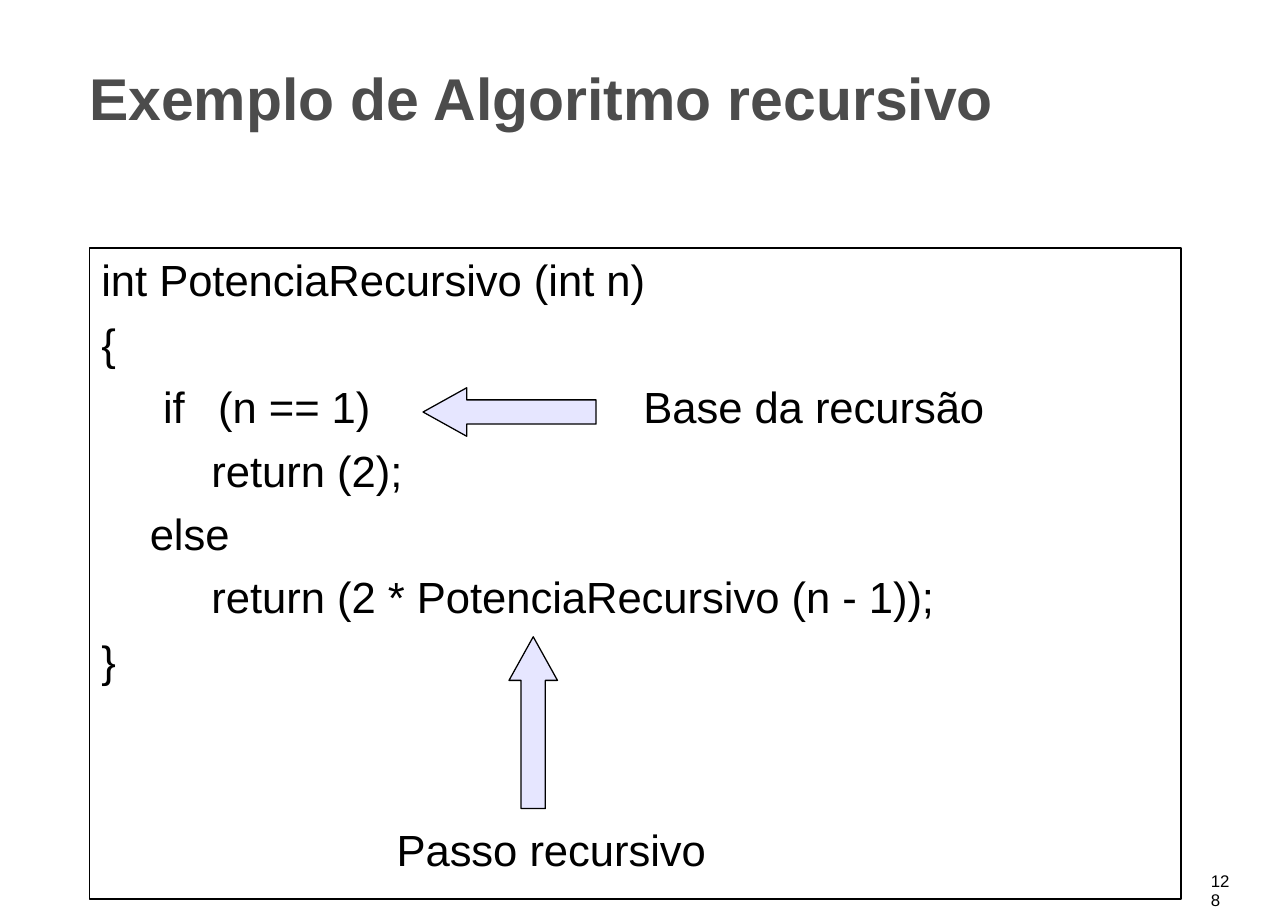
from dataclasses import dataclass

from lxml import etree
from pptx import Presentation
from pptx.dml.color import RGBColor
from pptx.enum.shapes import MSO_SHAPE
from pptx.enum.text import MSO_ANCHOR, MSO_AUTO_SIZE, PP_ALIGN
from pptx.oxml.ns import qn
from pptx.util import Inches, Pt

LEFT_ARROW, UP_ARROW = MSO_SHAPE.LEFT_ARROW, MSO_SHAPE.UP_ARROW
RECTANGLE = MSO_SHAPE.RECTANGLE
TOP, LEFT, NO_FIT = MSO_ANCHOR.TOP, PP_ALIGN.LEFT, MSO_AUTO_SIZE.NONE
TITLE_ONLY = 5


@dataclass(frozen=True)
class Theme:
    font: str = "Arial"
    ink: RGBColor = RGBColor(0x00, 0x00, 0x00)
    heading: RGBColor = RGBColor(0x4C, 0x4C, 0x4C)
    arrow: RGBColor = RGBColor(0xE6, 0xE6, 0xFF)
    title_size: float = 38.5
    body_size: float = 28.5
    number_size: float = 11
    title_leading: float = 47
    code_leading: float = 41.4
    label_leading: float = 34
    number_leading: float = 12.2
    line_width: float = 0.81


class SlideBuilder:
    def __init__(self, slide, theme):
        self.slide = slide
        self.theme = theme

    def _prepare(self, frame):
        frame.margin_left = frame.margin_right = 0
        frame.margin_top = frame.margin_bottom = 0
        frame.vertical_anchor = TOP
        frame.auto_size = NO_FIT
        frame.word_wrap = True

    def _format(self, paragraph, size, leading, color, indent=0.01, bold=False):
        properties = paragraph._p.get_or_add_pPr()
        properties.set("marL", str(Inches(indent)))
        properties.set("indent", "0")
        paragraph.alignment = LEFT
        paragraph.line_spacing = Pt(leading)
        paragraph.space_before = paragraph.space_after = Pt(0)
        for run in paragraph.runs:
            font = run.font
            font.name, font.size, font.bold = self.theme.font, Pt(size), bold
            font.color.rgb = color

    def _tab_stop(self, paragraph, position):
        tabs = etree.SubElement(paragraph._p.get_or_add_pPr(), qn("a:tabLst"))
        etree.SubElement(tabs, qn("a:tab"), pos=str(Inches(position)), algn="l")

    def title(self, text, left, top, width, height):
        title = self.slide.shapes.title
        title.left, title.top = Inches(left), Inches(top)
        title.width, title.height = Inches(width), Inches(height)
        self._prepare(title.text_frame)
        title.text_frame.text = text
        self._format(title.text_frame.paragraphs[0], self.theme.title_size,
                     self.theme.title_leading, self.theme.heading, bold=True)

    def shape(self, preset, left, top, width, height, fill=None):
        shape = self.slide.shapes.add_shape(
            preset, Inches(left), Inches(top), Inches(width), Inches(height))
        shape.shadow.inherit = False
        if fill is None:
            shape.fill.background()
        else:
            shape.fill.solid()
            shape.fill.fore_color.rgb = fill
        shape.line.color.rgb = self.theme.ink
        shape.line.width = Pt(self.theme.line_width)
        return shape

    def arrow(self, preset, left, top, width, height):
        arrow = self.shape(preset, left, top, width, height, self.theme.arrow)
        arrow.adjustments[0] = 0.5
        arrow.adjustments[1] = 0.9

    def text(self, text, left, top, width, height, size, leading):
        box = self.slide.shapes.add_textbox(
            Inches(left), Inches(top), Inches(width), Inches(height))
        self._prepare(box.text_frame)
        box.text_frame.text = text
        for paragraph in box.text_frame.paragraphs:
            self._format(paragraph, size, leading, self.theme.ink)
        return box

    def label(self, text, left, top, width):
        self.text(text, left, top, width, 0.49,
                  self.theme.body_size, self.theme.label_leading)

    def code(self, lines, left, top, width, tab):
        theme = self.theme
        box = self.text("\n".join(line for _, line in lines), left, top, width,
                        len(lines) * theme.code_leading / 72,
                        theme.body_size, theme.code_leading)
        for paragraph, (indent, line) in zip(box.text_frame.paragraphs, lines):
            self._format(paragraph, theme.body_size, theme.code_leading,
                         theme.ink, indent)
            if "\t" in line:
                self._tab_stop(paragraph, tab)


# Indents of the code, in inches from the left of its box
OUTER, ELSE, IF, INNER = 0.01, 0.45, 0.57, 1.01
POWER_CODE = [
    (OUTER, "int PotenciaRecursivo (int n)"),
    (OUTER, "{"),
    (IF, "if\t(n == 1)"),
    (INNER, "return (2);"),
    (ELSE, "else"),
    (INNER, "return (2 * PotenciaRecursivo (n - 1));"),
    (OUTER, "}"),
]


def main():
    deck = Presentation()
    deck.slide_width, deck.slide_height = Inches(11.69), Inches(8.26)
    theme = Theme()
    builder = SlideBuilder(
        deck.slides.add_slide(deck.slide_layouts[TITLE_ONLY]), theme)

    # Title
    builder.title("Exemplo de Algoritmo recursivo", 0.8, 0.55, 10.09, 0.65)

    # Framed algorithm
    builder.shape(RECTANGLE, 0.81, 2.25, 9.91, 5.91)
    builder.code(POWER_CODE, 0.91, 2.2, 7.8, INNER)

    # Base case and recursive step
    builder.label("Base da recursão", 5.83, 3.45, 3.4)
    builder.arrow(LEFT_ARROW, 3.84, 3.52, 1.57, 0.44)
    builder.label("Passo recursivo", 3.59, 7.47, 3.1)
    builder.arrow(UP_ARROW, 4.62, 5.78, 0.44, 1.56)

    # Slide number
    builder.text("128", 10.98, 7.92, 0.21, 0.17,
                 theme.number_size, theme.number_leading)

    deck.save("out.pptx")


if __name__ == "__main__":
    main()
